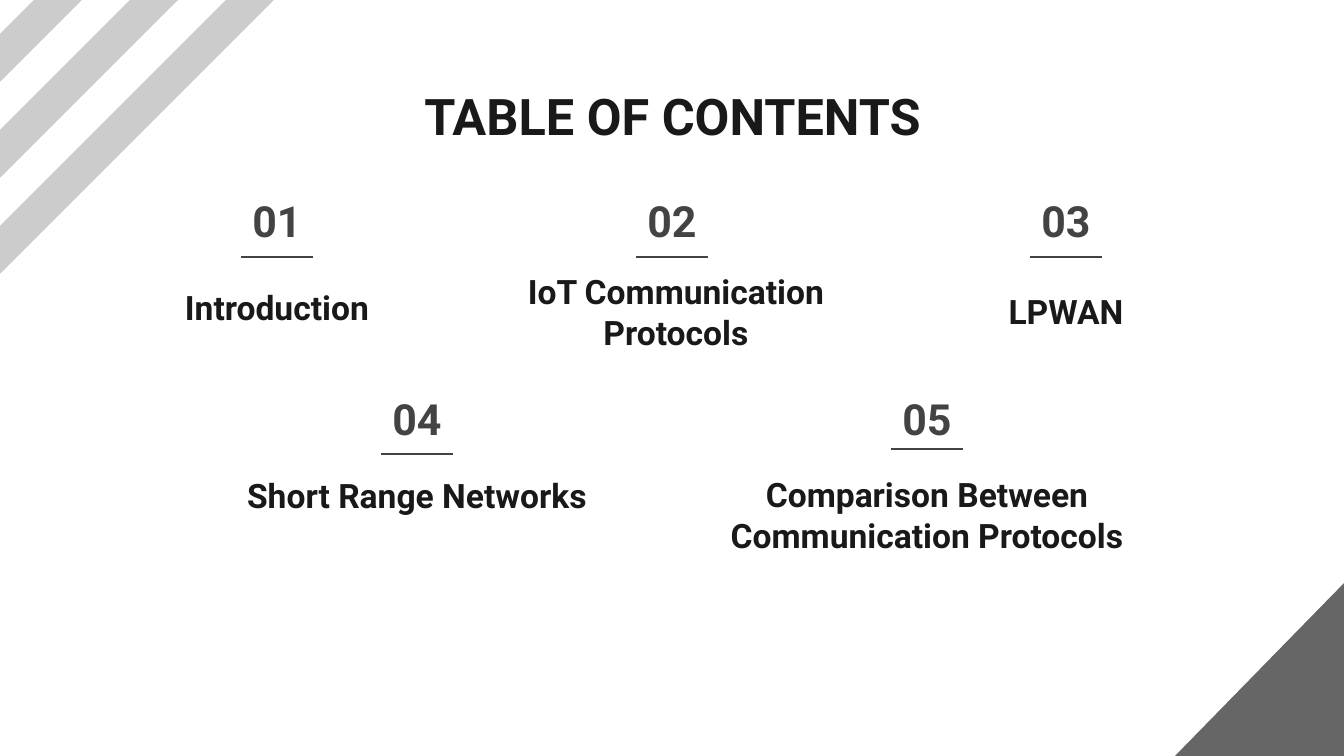
from pptx import Presentation
from pptx.dml.color import RGBColor
from pptx.enum.shapes import MSO_CONNECTOR as CONNECTOR, MSO_SHAPE as SHAPE
from pptx.enum.text import MSO_ANCHOR as ANCHOR, MSO_AUTO_SIZE as AUTO_SIZE, PP_ALIGN as ALIGN
from pptx.util import Inches, Pt
from lxml.etree import SubElement
from pptx.oxml.ns import qn

COLORS = {"stripe": "CCCCCC", "corner": "666666", "number": "434343", "heading": "191919"}
NUMBER_WIDTH, NUMBER_HEIGHT = 187, 71
RULE_WIDTH = 72
LABEL_HEIGHT = 63


def px(pixels):
    return round(pixels * 914400 / 134.4)


def color(key):
    return RGBColor.from_string(COLORS[key])


def paint(shape, key):
    shape.shadow.inherit = False
    shape.fill.solid()
    shape.fill.fore_color.rgb = color(key)
    shape.line.fill.background()


def write(shape, text, size, key):
    frame = shape.text_frame
    frame.word_wrap = True
    frame.auto_size = AUTO_SIZE.NONE
    frame.vertical_anchor = ANCHOR.MIDDLE
    frame.margin_left = frame.margin_right = Inches(0.1)
    frame.margin_top = frame.margin_bottom = Inches(0.1)
    frame.text = text
    line = frame.paragraphs[0]
    line.alignment = ALIGN.CENTER
    line.font.name = "Roboto"
    line.font.size = Pt(size)
    line.font.bold = True
    line.font.color.rgb = color(key)


def add_text(slide, box, text, size, key):
    write(slide.shapes.add_textbox(*map(px, box)), text, size, key)


def add_stripes(slide, left, top, first, step, band, count):
    for outer in range(first, first + step * count, step):
        inner = outer - band
        outline = slide.shapes.build_freeform(px(left + inner), px(top))
        outline.add_line_segments([
            (px(left), px(top + inner)),
            (px(left), px(top + outer)),
            (px(left + outer), px(top)),
        ])
        paint(outline.convert_to_shape(), "stripe")


def add_corner(slide, box):
    corner = slide.shapes.add_shape(SHAPE.RIGHT_TRIANGLE, *map(px, box))
    corner.rotation = 270
    paint(corner, "corner")


def add_title(slide, box, text):
    title = slide.shapes.title
    title.left, title.top, title.width, title.height = map(px, box)
    write(title, text, 27, "heading")


def add_rule(slide, center, y):
    start = center - RULE_WIDTH / 2
    rule = slide.shapes.add_connector(
        CONNECTOR.STRAIGHT, px(start), px(y), px(start + RULE_WIDTH), px(y))
    rule.line.color.rgb = color("number")
    rule.line.width = Pt(1.5)
    SubElement(rule._element.spPr, qn("a:effectLst"))


def add_entry(slide, center, top, number, label, rule_drop, label_box):
    shift, label_drop, label_width = label_box
    number_box = (center - NUMBER_WIDTH / 2, top, NUMBER_WIDTH, NUMBER_HEIGHT)
    add_text(slide, number_box, f"{number:02}", 23, "number")
    add_rule(slide, center, top + rule_drop)
    label_left = center + shift - label_width / 2
    add_text(slide, (label_left, top + label_drop, label_width, LABEL_HEIGHT),
             label, 18, "heading")


entries = [
    (277, 185, "Introduction", 72, (0, 91, 360)),
    (672, 185, "IoT Communication Protocols", 72, (4, 95, 360)),
    (1066, 185, "LPWAN", 72, (0, 95, 344)),
    (417, 383, "Short Range Networks", 71, (0, 81, 466)),
    (927, 383, "Comparison Between Communication Protocols", 66, (0, 100, 466)),
]

deck = Presentation()
deck.slide_width, deck.slide_height = px(1344), px(756)
contents = deck.slides.add_slide(deck.slide_layouts[5])
add_corner(contents, (1173, 578, 180, 176))
add_stripes(contents, left=-71, top=-52, first=205, step=96, band=48, count=3)
add_title(contents, (106, 80, 1133, 71), "TABLE OF CONTENTS")
for number, (center, top, label, rule_drop, label_box) in enumerate(entries, 1):
    add_entry(contents, center, top, number, label, rule_drop, label_box)
deck.save("out.pptx")
